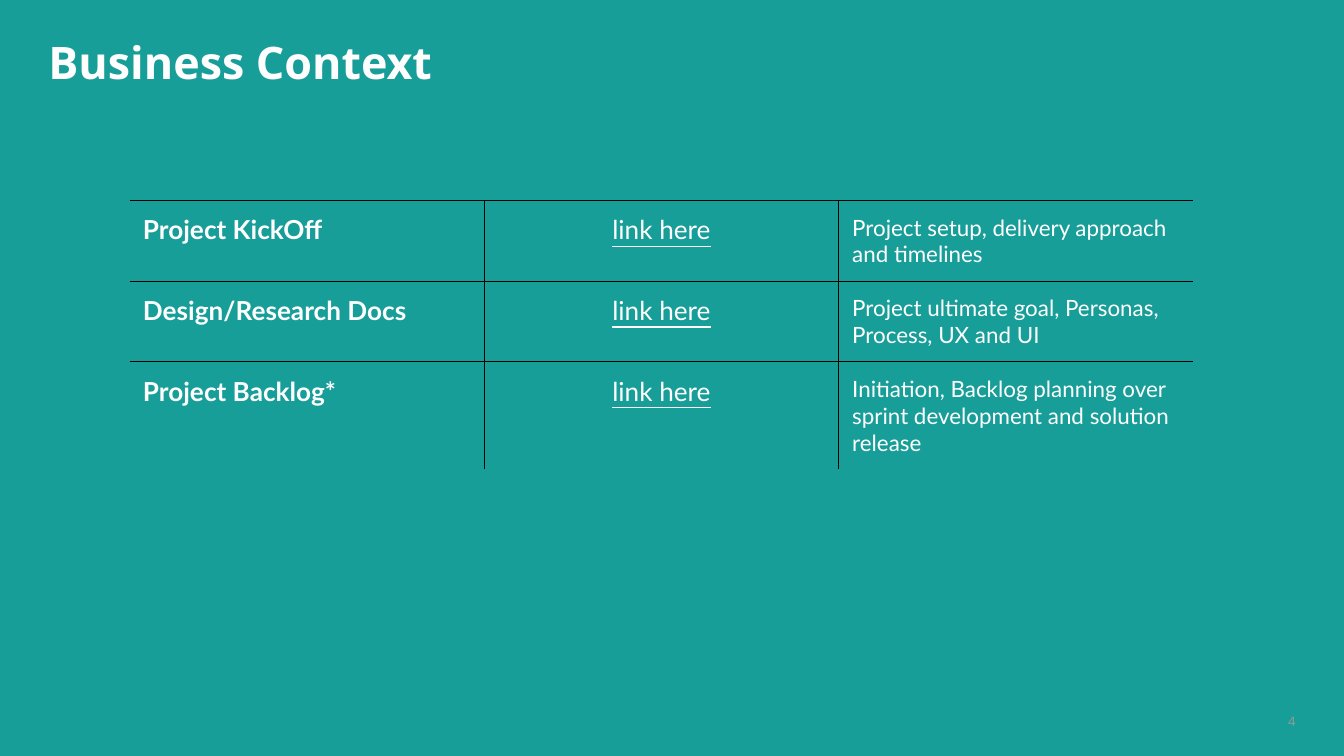
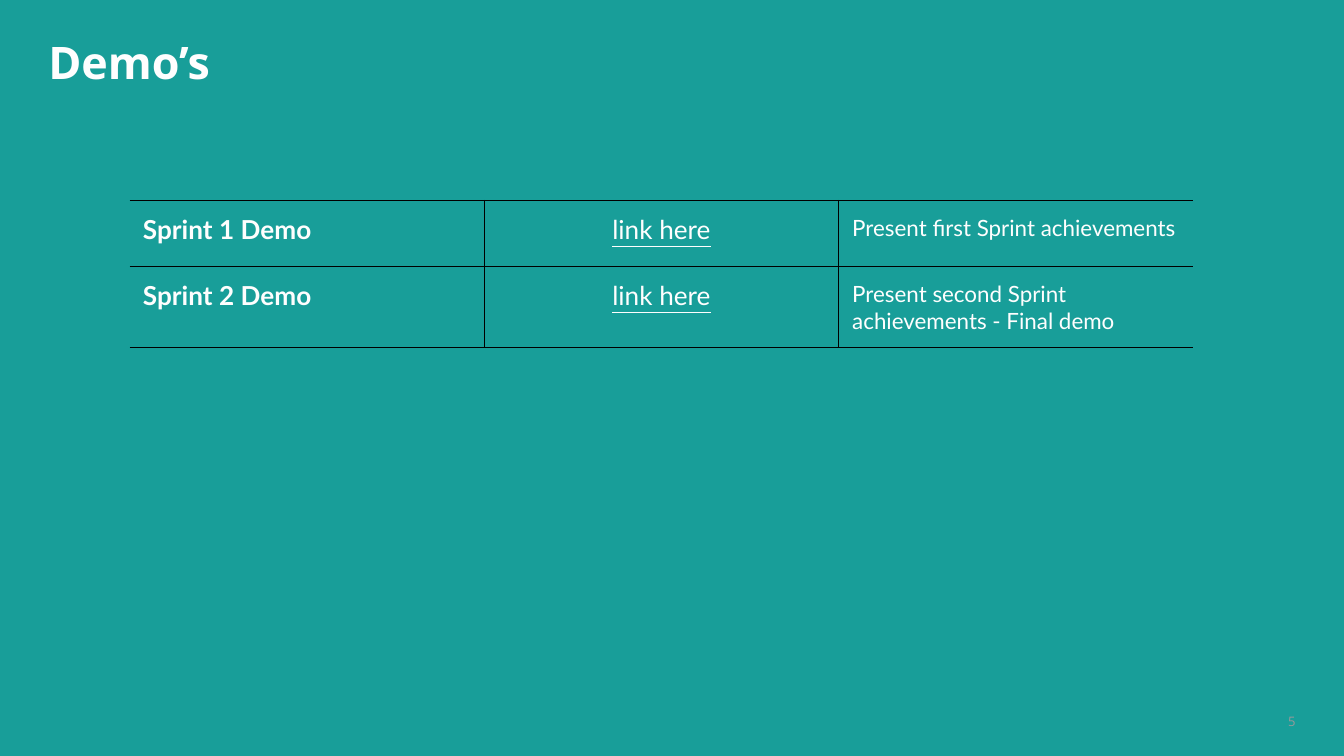
from lxml import etree
from pptx import Presentation
from pptx.dml.color import RGBColor
from pptx.enum.text import MSO_ANCHOR, MSO_AUTO_SIZE, PP_ALIGN
from pptx.oxml.ns import qn
from pptx.util import Pt

LEFT, CENTER, RIGHT = PP_ALIGN.LEFT, PP_ALIGN.CENTER, PP_ALIGN.RIGHT
TOP, MIDDLE = MSO_ANCHOR.TOP, MSO_ANCHOR.MIDDLE
NO_AUTOFIT = MSO_AUTO_SIZE.NONE

# Shared style
TEAL, WHITE, GREY, BLACK = "189E99", "FEFEFE", "999999", "000000"
BORDER_WIDTH = 0.75
COLUMN_WIDTH = 190
FIRST_ROW, OTHER_ROW = 35.5, 36.5
INSETS = {f"margin_{side}": Pt(7.2) for side in ("left", "right", "top", "bottom")}
TITLE_FONT = {"name": "Open Sans", "size": Pt(24), "bold": True}
NUMBER_FONT = {"name": "Open Sans", "size": Pt(7), "bold": False}
COLUMN_STYLES = [
    (LEFT, {"name": "Lato", "size": Pt(14), "bold": True}),
    (CENTER, {"name": "Lato", "size": Pt(14), "bold": False, "underline": True}),
    (LEFT, {"name": "Lato", "size": Pt(12), "bold": False}),
]


def rgb(color):
    return RGBColor.from_string(color)


def apply(target, values):
    for name, value in values.items():
        setattr(target, name, value)


class Deck:
    def __init__(self):
        self.prs = Presentation()
        self.prs.slide_width, self.prs.slide_height = Pt(720), Pt(405)
        self.s = None

    def slide(self, title, number):
        self.s = self.prs.slides.add_slide(self.prs.slide_layouts[5])
        fill = self.s.background.fill
        fill.solid()
        fill.fore_color.rgb = rgb(TEAL)
        self.title(title)
        self.number(number)

    def text(self, tf, text, font, color=WHITE, align=LEFT):
        p = tf.paragraphs[0]
        p.alignment = align
        r = p.add_run()
        r.text = text
        apply(r.font, font)
        r.font.color.rgb = rgb(color)
        return p

    def frame(self, sp, anchor):
        tf = sp.text_frame
        apply(tf, {"word_wrap": True, "auto_size": NO_AUTOFIT,
                   "vertical_anchor": anchor, **INSETS})
        return tf

    def title(self, title):
        sp = self.s.shapes.title
        sp.left, sp.top, sp.width, sp.height = Pt(18.7), Pt(14.4), Pt(564.5), Pt(46)
        p = self.text(self.frame(sp, TOP), title, TITLE_FONT)
        p.line_spacing = 0.9

    def number(self, number):
        sp = self.s.shapes.add_textbox(Pt(678.2), Pt(379.4), Pt(23), Pt(13.7))
        self.text(self.frame(sp, MIDDLE), str(number), NUMBER_FONT, GREY, RIGHT)

    def borders(self, cell, visible):
        tcPr = cell._tc.get_or_add_tcPr()
        for side in "LRTB":
            ln = etree.SubElement(tcPr, qn(f"a:ln{side}"), w=str(Pt(BORDER_WIDTH)))
            if side in visible:
                fill = etree.SubElement(ln, qn("a:solidFill"))
                etree.SubElement(fill, qn("a:srgbClr"), val=BLACK)
            else:
                etree.SubElement(ln, qn("a:noFill"))

    def table(self, rows, closed):
        """Draw ruled rows without outer sides; closed adds the bottom rule."""
        last_row, last_col = len(rows) - 1, len(COLUMN_STYLES) - 1
        height = FIRST_ROW + OTHER_ROW * last_row
        table = self.s.shapes.add_table(
            len(rows), len(COLUMN_STYLES), Pt(69.4), Pt(107.4),
            Pt(COLUMN_WIDTH * len(COLUMN_STYLES)), Pt(height)).table
        table.first_row = table.horz_banding = False
        for i, row in enumerate(rows):
            table.rows[i].height = Pt(OTHER_ROW if i else FIRST_ROW)
            for j, (text, (align, font)) in enumerate(zip(row, COLUMN_STYLES)):
                cell = table.cell(i, j)
                apply(cell, {"vertical_anchor": TOP, **INSETS})
                self.text(cell.text_frame, text, font, align=align)
                visible = "T"
                visible += "L" if j > 0 else ""
                visible += "R" if j < last_col else ""
                visible += "B" if closed or i < last_row else ""
                self.borders(cell, visible)
                cell.fill.background()


def main():
    deck = Deck()

    # Business context
    deck.slide("Business Context", 4)
    deck.table([
        ("Project KickOff", "link here",
         "Project setup, delivery approach and timelines"),
        ("Design/Research Docs", "link here",
         "Project ultimate goal, Personas, Process, UX and UI"),
        ("Project Backlog*", "link here",
         "Initiation, Backlog planning over sprint development and solution release"),
    ], closed=False)

    # Demos
    deck.slide("Demo’s", 5)
    deck.table([
        ("Sprint 1 Demo", "link here", "Present first Sprint achievements"),
        ("Sprint 2 Demo", "link here",
         "Present second Sprint achievements - Final demo"),
    ], closed=True)

    deck.prs.save("out.pptx")


if __name__ == "__main__":
    main()
